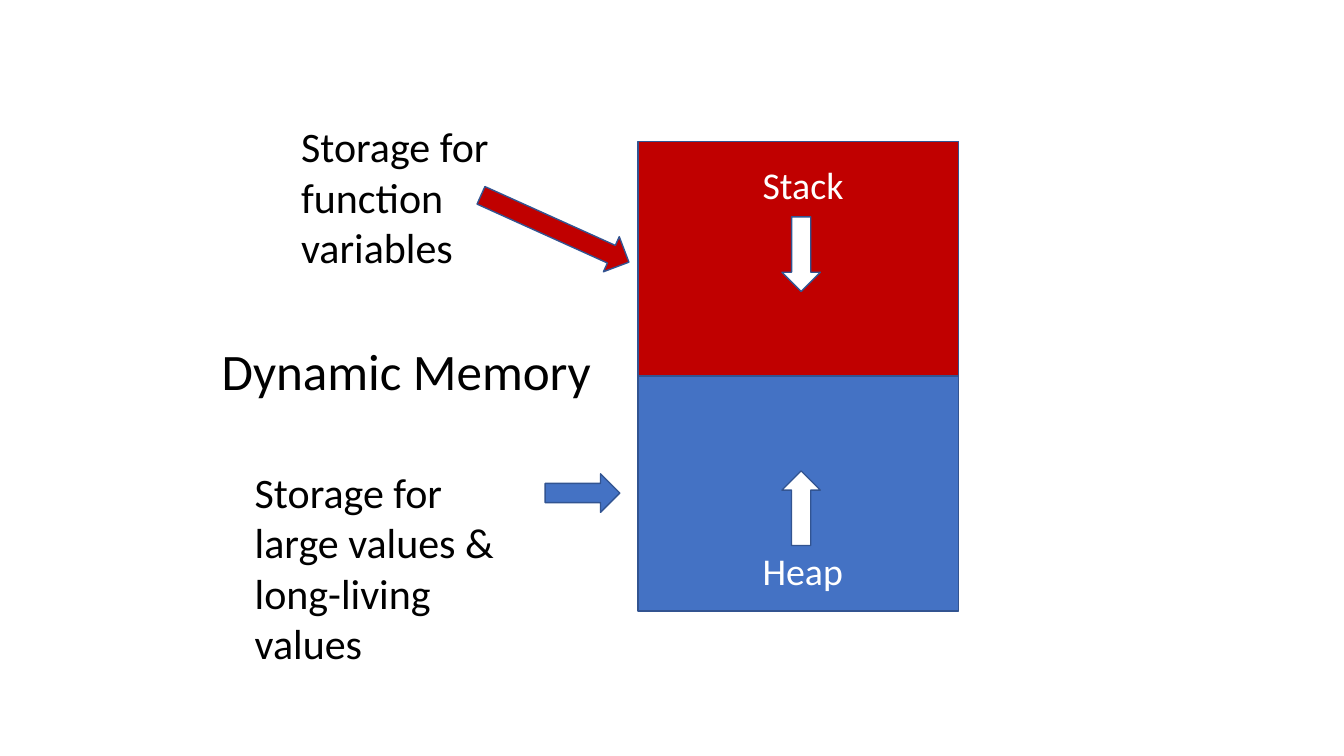
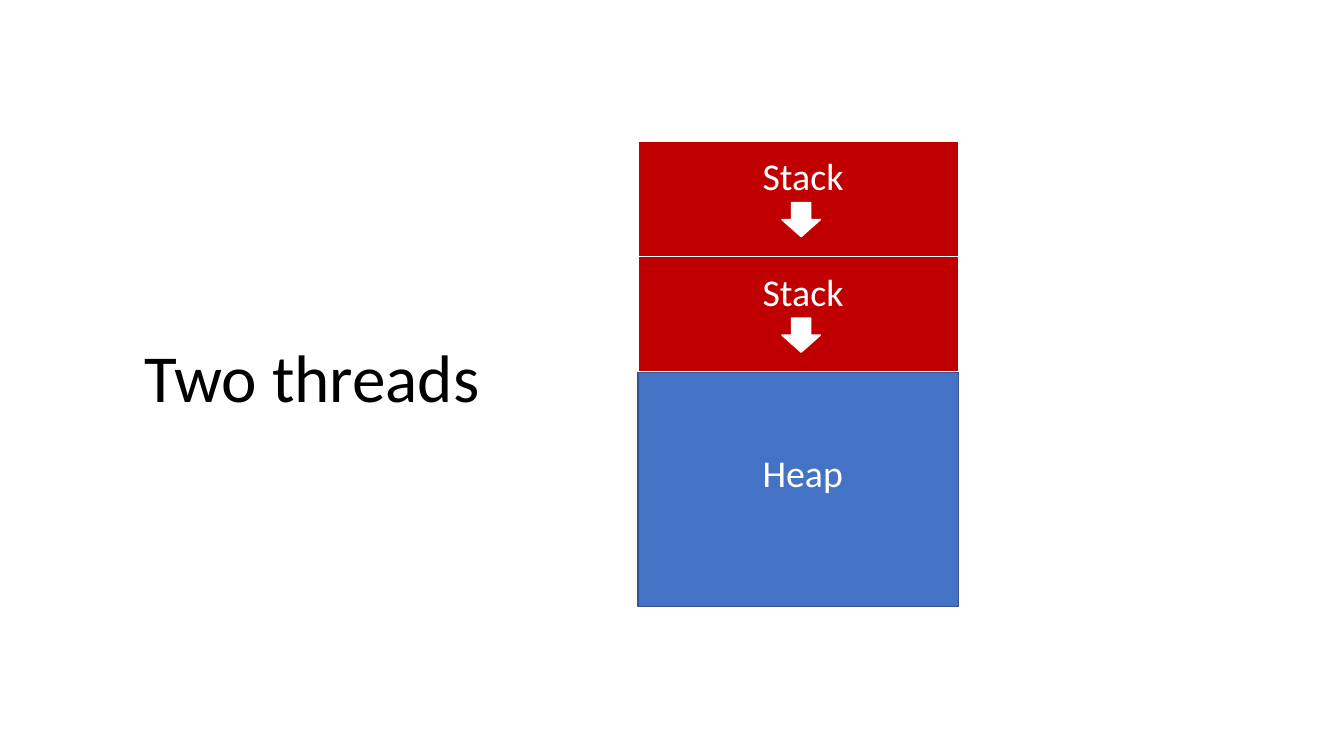
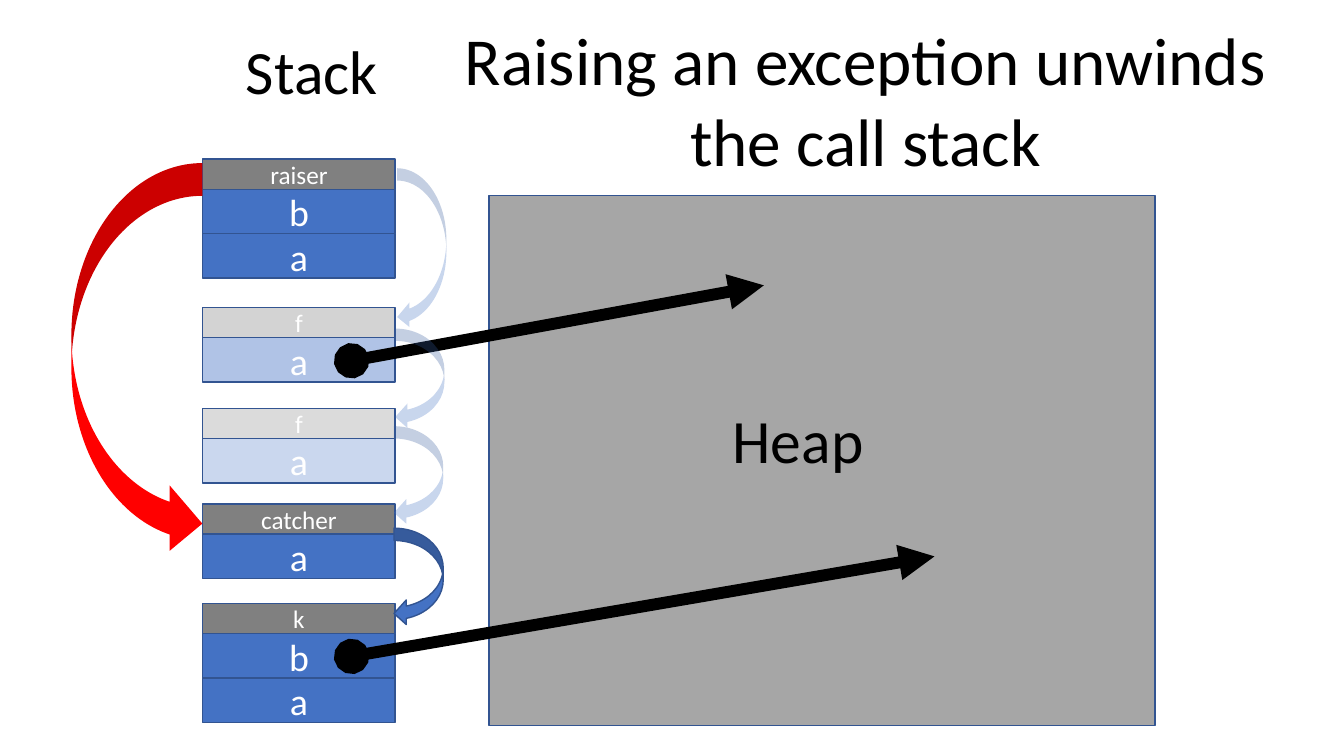
"""Build three slides on stack, heap and exception unwinding."""
from typing import NamedTuple, Optional

from lxml import etree
from pptx import Presentation
from pptx.dml.color import RGBColor
from pptx.enum.shapes import MSO_CONNECTOR, MSO_SHAPE
from pptx.enum.text import MSO_ANCHOR, MSO_AUTO_SIZE, PP_ALIGN
from pptx.oxml.ns import qn
from pptx.shapes.autoshape import Shape
from pptx.slide import Slide
from pptx.util import Cm, Pt

RECTANGLE = MSO_SHAPE.RECTANGLE
RIGHT_ARROW = MSO_SHAPE.RIGHT_ARROW
CURVED_LEFT = MSO_SHAPE.CURVED_LEFT_ARROW
CURVED_RIGHT = MSO_SHAPE.CURVED_RIGHT_ARROW
STRAIGHT = MSO_CONNECTOR.STRAIGHT
TOP, MIDDLE = MSO_ANCHOR.TOP, MSO_ANCHOR.MIDDLE
LEFT, CENTER = PP_ALIGN.LEFT, PP_ALIGN.CENTER
NO_AUTOFIT = MSO_AUTO_SIZE.NONE

BLACK = RGBColor(0x00, 0x00, 0x00)
WHITE = RGBColor(0xFF, 0xFF, 0xFF)
STACK_RED = RGBColor(0xC0, 0x00, 0x00)
RAISE_RED = RGBColor(0xFF, 0x00, 0x00)
BLUE = RGBColor(0x44, 0x72, 0xC4)
OUTLINE = RGBColor(0x32, 0x54, 0x91)
HEADER_GRAY = RGBColor(0x80, 0x80, 0x80)
HEAP_GRAY = RGBColor(0xA6, 0xA6, 0xA6)

FONT = "Calibri"
TITLE_ONLY = 5
MEMORY_LEFT, MEMORY_TOP, MEMORY_WIDTH, MEMORY_HEIGHT = 16.08, 3.56, 8.08, 5.92
LABEL_LEFT, LABEL_WIDTH, LABEL_HEIGHT = 18.97, 2.57, 1.42
ARROW_CENTER, ARROW_THICKNESS = 20.19, 0.97
FRAME_LEFT, FRAME_WIDTH, HEADER_HEIGHT, VARIABLE_HEIGHT = 5.11, 4.85, 0.76, 1.12
RETURN_WIDTH = 1.24


class Box(NamedTuple):
    """Left, top, width and height in centimetres."""

    left: float
    top: float
    width: float
    height: float


class Frame(NamedTuple):
    """A call frame with its variables and the opacity of its parts."""

    function: str
    top: float
    variables: str
    header_opacity: int = 100
    variable_opacity: int = 100


class Return(NamedTuple):
    """A curved arrow from one frame to its caller."""

    left: float
    top: float
    height: float
    opacity: int = 29
    outline: Optional[RGBColor] = None


class Pointer(NamedTuple):
    """A reference from a stack variable into the heap."""

    from_x: float
    from_y: float
    to_x: float
    to_y: float


FRAMES = (
    Frame("raiser", 4.01, "ba"),
    Frame("f", 7.75, "a", 34, 42),
    Frame("f", 10.29, "a", 28, 28),
    Frame("catcher", 12.7, "a"),
    Frame("k", 15.21, "ba"),
)
RETURNS = (
    Return(10.01, 4.24, 4.06),
    Return(9.96, 8.28, 2.54),
    Return(9.93, 10.74, 2.49),
    Return(9.93, 13.31, 2.46, 100, OUTLINE),
)
POINTERS = (
    Pointer(8.86, 9.09, 19.25, 7.19),
    Pointer(8.86, 16.54, 23.55, 14.02),
)


def write(shape: Shape, text: str, *, size: float, color: RGBColor = BLACK,
          align: PP_ALIGN = LEFT, anchor: MSO_ANCHOR = TOP,
          spacing: float = 1.0, wrap: bool = True) -> None:
    """Put formatted text into a shape."""
    frame = shape.text_frame
    frame.text = text
    frame.word_wrap = wrap
    frame.auto_size = NO_AUTOFIT
    frame.vertical_anchor = anchor
    paragraph = frame.paragraphs[0]
    paragraph.alignment = align
    paragraph.line_spacing = spacing
    font = paragraph.runs[0].font
    font.name, font.size = FONT, Pt(size)
    font.color.rgb = color


def add_text(slide: Slide, box: Box, text: str, **text_format) -> None:
    """Add a text box."""
    write(slide.shapes.add_textbox(*map(Cm, box)), text, **text_format)


def add_titled_slide(deck, box: Box, title: str, **text_format) -> Slide:
    """Add a slide and place its title."""
    slide = deck.slides.add_slide(deck.slide_layouts[TITLE_ONLY])
    heading = slide.shapes.title
    heading.left, heading.top, heading.width, heading.height = map(Cm, box)
    write(heading, title, **text_format)
    return slide


def add_figure(slide: Slide, preset: MSO_SHAPE, box: Box, fill: RGBColor,
               outline: Optional[RGBColor] = OUTLINE, opacity: int = 100,
               rotation: float = 0) -> Shape:
    """Add a filled preset shape."""
    figure = slide.shapes.add_shape(preset, *map(Cm, box))
    figure.shadow.inherit = False
    figure.rotation = rotation
    figure.fill.solid()
    figure.fill.fore_color.rgb = fill
    if opacity < 100:
        solid = figure.element.spPr.find(qn("a:solidFill"))
        etree.SubElement(solid[0], qn("a:alpha"), val=str(opacity * 1000))
    if outline is None:
        figure.line.fill.background()
    else:
        figure.line.color.rgb = outline
        figure.line.width = Pt(1)
    return figure


def add_region(slide: Slide, top: float, height: float, fill: RGBColor,
               label: str, label_top: float, outline: RGBColor = OUTLINE) -> None:
    """Add a labelled memory region."""
    add_figure(slide, RECTANGLE, Box(MEMORY_LEFT, top, MEMORY_WIDTH, height), fill, outline)
    add_text(slide, Box(LABEL_LEFT, label_top, LABEL_WIDTH, LABEL_HEIGHT), label,
             size=27, color=WHITE, wrap=False)


def add_growth(slide: Slide, top: float, length: float, rotation: float,
               outline: RGBColor = OUTLINE) -> None:
    """Add a white arrow showing where a region grows."""
    box = Box(ARROW_CENTER - length / 2, top, length, ARROW_THICKNESS)
    add_figure(slide, RIGHT_ARROW, box, WHITE, outline, rotation=rotation)


def add_frame(slide: Slide, frame: Frame) -> None:
    """Add a call frame: a header over its variables."""
    header = add_figure(slide, RECTANGLE,
                        Box(FRAME_LEFT, frame.top, FRAME_WIDTH, HEADER_HEIGHT),
                        HEADER_GRAY, opacity=frame.header_opacity)
    write(header, frame.function, size=18, color=WHITE, align=CENTER, anchor=MIDDLE)
    for row, name in enumerate(frame.variables):
        top = frame.top + HEADER_HEIGHT + row * VARIABLE_HEIGHT
        variable = add_figure(slide, RECTANGLE,
                              Box(FRAME_LEFT, top, FRAME_WIDTH, VARIABLE_HEIGHT),
                              BLUE, opacity=frame.variable_opacity)
        write(variable, name, size=27, color=WHITE, align=CENTER, anchor=MIDDLE)


def add_pointer(slide: Slide, pointer: Pointer) -> None:
    """Add a thick line from a round start to an arrowhead."""
    reference = slide.shapes.add_connector(STRAIGHT, *map(Cm, pointer))
    reference.line.color.rgb = BLACK
    reference.line.width = Pt(8.5)
    properties = reference.element.spPr
    outline = properties.find(qn("a:ln"))
    etree.SubElement(outline, qn("a:headEnd"), type="oval")
    etree.SubElement(outline, qn("a:tailEnd"), type="triangle")
    etree.SubElement(properties, qn("a:effectLst"))


def build_dynamic_memory(deck) -> None:
    """Show what stack and heap store."""
    slide = add_titled_slide(deck, Box(5.26, 8.05, 9.96, 2.77), "Dynamic Memory",
                             size=36.5, align=CENTER, anchor=MIDDLE, spacing=0.9)
    add_region(slide, MEMORY_TOP, MEMORY_HEIGHT, STACK_RED, "Stack", 3.94)
    add_region(slide, MEMORY_TOP + MEMORY_HEIGHT, MEMORY_HEIGHT, BLUE, "Heap", 13.67)
    add_text(slide, Box(6.17, 11.63, 7.57, 5.38),
             "Storage for large values & long-living values", size=30)
    add_text(slide, Box(7.34, 2.92, 6.22, 4.11), "Storage for function variables", size=30)
    add_figure(slide, RIGHT_ARROW, Box(11.94, 5.28, 4.09, ARROW_THICKNESS), STACK_RED,
               rotation=24.3)
    add_figure(slide, RIGHT_ARROW, Box(13.74, 11.94, 1.88, ARROW_THICKNESS), BLUE)
    add_growth(slide, 5.92, 1.88, 90)
    add_growth(slide, 12.32, 1.88, 270)


def build_two_threads(deck) -> None:
    """Show two stacks sharing one heap."""
    slide = add_titled_slide(deck, Box(3.38, 8.33, 9.8, 2.31), "Two threads", size=48)
    add_region(slide, 9.37, MEMORY_HEIGHT, BLUE, "Heap", 11.2)
    for thread in range(2):
        top = MEMORY_TOP + thread * 2.91
        add_region(slide, top, 2.9, STACK_RED, "Stack", top + 0.17, WHITE)
        add_growth(slide, top + 1.49, 0.86, 90, WHITE)


def build_unwinding(deck) -> None:
    """Show an exception skipping frames up to its catcher."""
    slide = add_titled_slide(deck, Box(10.9, 0.56, 21.82, 3.89),
                             "Raising an exception unwinds the call stack",
                             size=48, align=CENTER, anchor=MIDDLE)
    add_text(slide, Box(4.9, 0.3, 5.92, 3.18), "Stack", size=44,
             align=CENTER, anchor=MIDDLE, spacing=0.9)
    add_figure(slide, RECTANGLE, Box(12.32, 4.93, 16.79, 13.36), HEAP_GRAY)
    add_text(slide, Box(17.15, 9.47, 5.92, 3.18), "Heap", size=44,
             align=CENTER, anchor=MIDDLE)
    for frame in FRAMES:
        add_frame(slide, frame)
    for pointer in POINTERS:
        add_pointer(slide, pointer)
    add_figure(slide, CURVED_RIGHT, Box(1.8, 4.11, 3.3, 9.91), RAISE_RED, None)
    for step in RETURNS:
        add_figure(slide, CURVED_LEFT, Box(step.left, step.top, RETURN_WIDTH, step.height),
                   BLUE, step.outline, step.opacity)


def main() -> None:
    """Build and save the deck."""
    deck = Presentation()
    deck.slide_width, deck.slide_height = Cm(33.87), Cm(19.05)
    build_dynamic_memory(deck)
    build_two_threads(deck)
    build_unwinding(deck)
    deck.save("out.pptx")


if __name__ == "__main__":
    main()
